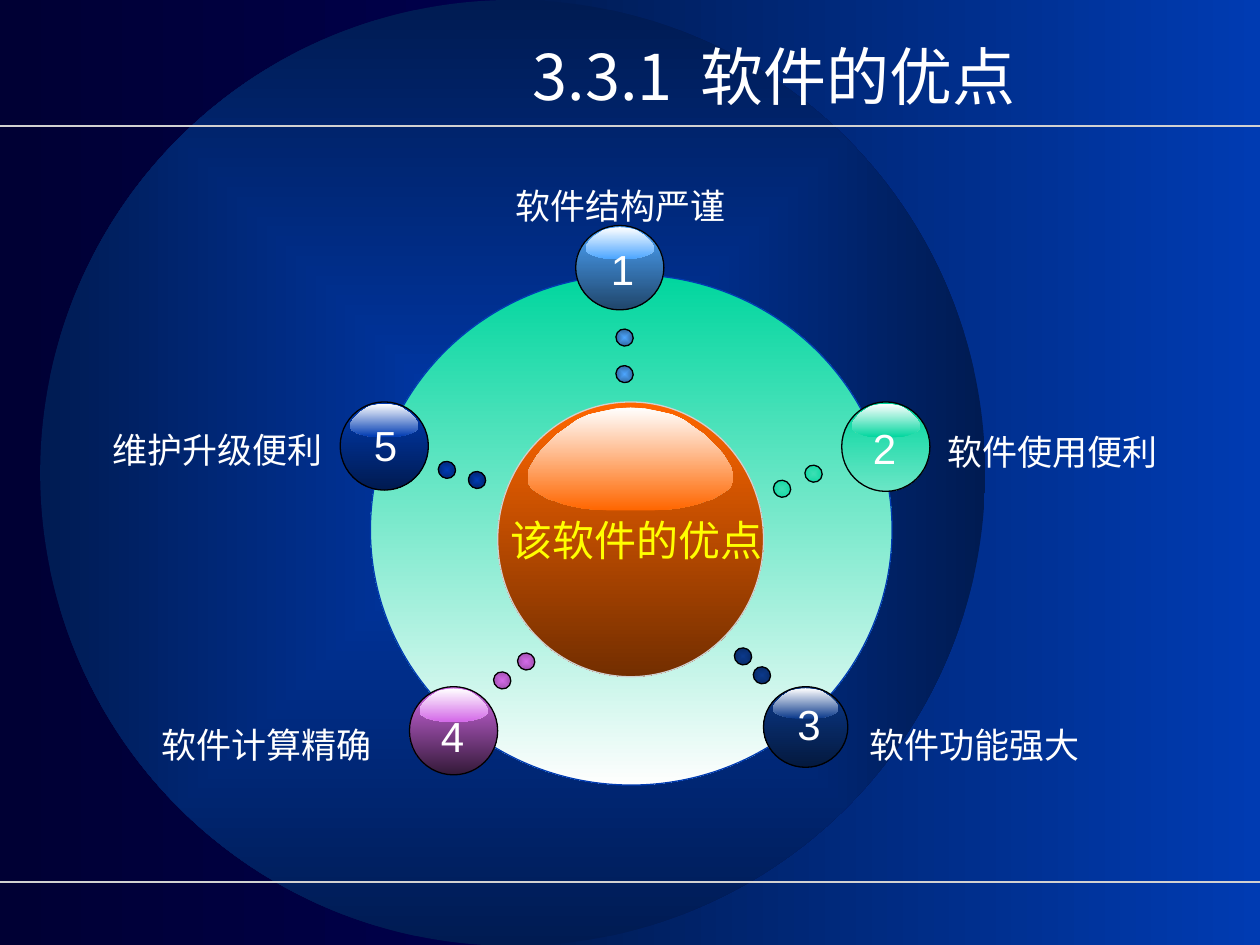
from dataclasses import dataclass

from lxml import etree
from pptx import Presentation
from pptx import util as u
from pptx.dml.color import RGBColor
from pptx.enum import shapes, text
from pptx.oxml.ns import qn


@dataclass(frozen=True)
class Theme:
    white: str = "FFFFFF"
    black: str = "000000"
    yellow: str = "FFFF00"
    rule: str = "D1D1D1"
    blue: str = "003BB2"
    orange: str = "FF6600"
    backdrop: tuple = ("000072", "000034")
    panel: tuple = ("003BB2", "001B52")
    ring: tuple = ("00D69E", "FEFEFE")
    core: tuple = ("FF6600", "732E00")
    font: str = "Arial"
    title_font: str = "Noto Sans CJK SC"
    title_size: int = 36
    number_size: int = 24
    label_size: int = 20


THEME = Theme()
DOWN, LEFTWARD = 270, 180
DOT_SIZE = (9.6, 10)
NUMBER_SIZE = (27.4, 36)
LABEL_SIZE = (140.4, 31.7)

# Right half of the glossy cap: per cent of half width, per cent of height
CAP_HALF = [(0, 0), (14, 1), (28, 4), (41, 7), (52, 12), (63, 20), (73, 27),
            (83, 37), (91, 46), (97, 56), (100, 62), (100, 73), (97, 78),
            (92, 82), (87, 85), (80, 89), (73, 91), (65, 94), (56, 96),
            (46, 98), (35, 99), (20, 100)]

# Ball box, gradient, number centre, label corner, dot corners, dot gradients
ADVANTAGES = [
    dict(name="软件结构严谨", ball=(329, 128.9, 50.4, 48.2),
         colors=("4DA6FF", "20466B"), number=(355.7, 153.4), label=(284.4, 101.5),
         dots=[(352.1, 187.9), (352.1, 208.8)],
         dot_colors=[("4DA6FF", "224B73"), ("4DA6FF", "25507B")]),
    dict(name="软件使用便利", ball=(481, 229.7, 50.4, 51.1),
         colors=("00D69E", "6BE6C6"), number=(505.4, 255.6), label=(531.4, 241.9),
         dots=[(460.1, 265.7), (442.1, 274.3)],
         dot_colors=[("3DDFB4", "00D69E")] * 2),
    dict(name="软件功能强大", ball=(436.3, 392.4, 48.2, 46.1),
         colors=("0B398B", "04193E"), number=(462.2, 413.3), label=(486.7, 409.7),
         dots=[(430.6, 380.9), (419.8, 370.1)],
         dot_colors=[("0B398B", "07255C")] * 2),
    dict(name="软件计算精确", ball=(234, 392.4, 50.4, 50.4),
         colors=("D46AE8", "331938"), number=(258.5, 420.5), label=(82.1, 409.7),
         dots=[(282.2, 383.8), (295.9, 373)],
         dot_colors=[("D46AE8", "8C469A")] * 2),
    dict(name="维护升级便利", ball=(194.4, 229.7, 50.4, 50.4),
         colors=("003BB2", "001A50"), number=(220.3, 254.2), label=(54, 241.2),
         dots=[(250.6, 263.5), (267.8, 269.3)],
         dot_colors=[("003BB2", "002166"), ("003BB2", "001C56")]),
]


def apply_format(target, values):
    for name, value in values.items():
        setattr(target, name, value)


def fill_gradient(fill, colors, angle=DOWN):
    fill.gradient()
    fill.gradient_angle = angle
    for stop, color in zip(fill.gradient_stops, colors):
        stop.color.rgb = RGBColor.from_string(color)


def center_gradient(shape):
    """Make the gradient run from the middle to the edges."""
    gradient = shape._element.spPr.find(qn("a:gradFill"))
    gradient.remove(gradient.find(qn("a:lin")))
    route = etree.Element(qn("a:path"), {"path": "rect"})
    sides = dict.fromkeys("ltrb", "50000")
    etree.SubElement(route, qn("a:fillToRect"), sides)
    gradient.find(qn("a:gsLst")).addnext(route)


def set_line(shape, color, width=0.75):
    if color is None:
        shape.line.fill.background()
        return
    shape.line.color.rgb = RGBColor.from_string(color)
    shape.line.width = u.Pt(width)


def add_form(page, kind, box, colors, line=None, angle=DOWN, centered=False):
    shape = page.shapes.add_shape(kind, *map(u.Pt, box))
    shape.shadow.inherit = False
    fill_gradient(shape.fill, colors, angle)
    if centered:
        center_gradient(shape)
    set_line(shape, line)
    return shape


def add_rule(page, y):
    rule = page.shapes.add_connector(shapes.MSO_CONNECTOR.STRAIGHT,
                                     0, u.Pt(y), u.Pt(720), u.Pt(y))
    set_line(rule, THEME.rule, 1)
    etree.SubElement(rule._element.spPr, qn("a:effectLst"))


def add_text(page, words, box, size, color=THEME.white, font=THEME.font,
             align=text.PP_ALIGN.CENTER, wrap=True):
    frame = page.shapes.add_textbox(*map(u.Pt, box)).text_frame
    apply_format(frame, dict(word_wrap=wrap, vertical_anchor=text.MSO_ANCHOR.MIDDLE))
    para = frame.paragraphs[0]
    para.alignment = align
    span = para.add_run()
    span.text = words
    apply_format(span.font, dict(name=font, size=u.Pt(size)))
    span.font.color.rgb = RGBColor.from_string(color)
    etree.SubElement(span._r.rPr, qn("a:ea"), {"typeface": THEME.title_font})


def add_glossy_ball(page, box, colors, line):
    add_form(page, shapes.MSO_SHAPE.OVAL, box, colors, line)
    left, top, width, height = box
    middle, cap_top = left + width / 2, top + 0.02 * height
    half, depth = 0.385 * width, 0.375 * height
    mirrored = [(-x, y) for x, y in reversed(CAP_HALF[1:])]
    points = [(100 * middle + x * half, 100 * cap_top + y * depth)
              for x, y in CAP_HALF + mirrored]
    builder = page.shapes.build_freeform(*points[0], scale=u.Pt(1) / 100)
    builder.add_line_segments(points[1:], close=True)
    cap = builder.convert_to_shape()
    cap.shadow.inherit = False
    fill_gradient(cap.fill, (THEME.white, colors[0]))
    set_line(cap, None)


def add_advantage(page, number, item):
    oval = shapes.MSO_SHAPE.OVAL
    add_glossy_ball(page, item["ball"], item["colors"], THEME.black)
    corner = [c - s / 2 for c, s in zip(item["number"], NUMBER_SIZE)]
    add_text(page, str(number), (*corner, *NUMBER_SIZE), THEME.number_size, wrap=False)
    for place, colors in zip(item["dots"], item["dot_colors"]):
        dot = add_form(page, oval, (*place, *DOT_SIZE), colors, THEME.black, centered=True)
        dot.rotation = 303.8
    add_text(page, item["name"], (*item["label"], *LABEL_SIZE), THEME.label_size)


def main():
    deck = Presentation()
    apply_format(deck, dict(slide_width=u.Pt(720), slide_height=u.Pt(540)))
    page = deck.slides.add_slide(deck.slide_layouts[6])
    oval = shapes.MSO_SHAPE.OVAL

    # Backdrop
    fill_gradient(page.background.fill, THEME.backdrop, LEFTWARD)
    add_form(page, shapes.MSO_SHAPE.RECTANGLE, (293.8, 0, 426.2, 540),
             THEME.panel, angle=LEFTWARD)
    add_form(page, oval, (23, 0, 540, 540.5), THEME.panel, centered=True)
    for y in (72, 504):
        add_rule(page, y)

    # Title
    add_text(page, "3.3.1  软件的优点", (23.8, 10, 563.8, 66.2), THEME.title_size,
             font=THEME.title_font, align=text.PP_ALIGN.RIGHT)

    # Ring and core
    add_form(page, oval, (211.7, 157, 298.1, 291.6), THEME.ring, THEME.blue)
    add_glossy_ball(page, (284.4, 229.7, 151.9, 157), THEME.core, THEME.rule)
    add_text(page, "该软件的优点", (284.4, 290.2, 158.4, 36), THEME.number_size,
             THEME.yellow, wrap=False)

    # Numbered advantages around the ring
    for number, item in enumerate(ADVANTAGES, 1):
        add_advantage(page, number, item)

    deck.save("out.pptx")


if __name__ == "__main__":
    main()
